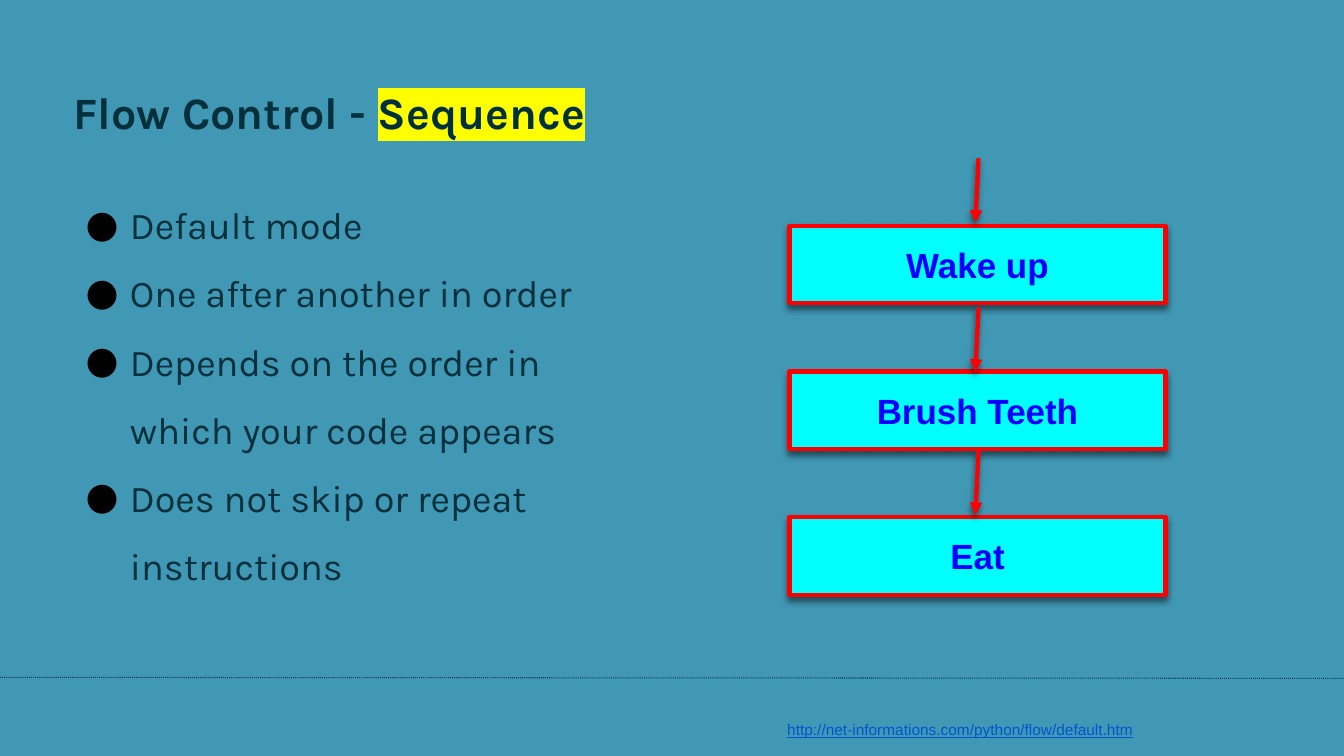
from lxml import etree
from pptx import Presentation
from pptx import util as u
from pptx.dml.color import RGBColor
from pptx.enum import dml, shapes, text
from pptx.oxml import parse_xml
from pptx.oxml.ns import nsdecls, qn

BACKGROUND = RGBColor(0x41, 0x98, 0xB5)
INK = RGBColor(0x00, 0x30, 0x3C)
RULE = RGBColor(0x00, 0x39, 0x5A)
CYAN = RGBColor(0x00, 0xFF, 0xFF)
RED = RGBColor(0xFF, 0x00, 0x00)
BLUE = RGBColor(0x00, 0x00, 0xFF)
LINK = RGBColor(0x00, 0x55, 0xD1)
YELLOW = RGBColor(0xFF, 0xFF, 0x00)
BLACK = RGBColor(0x00, 0x00, 0x00)

POINTS = (
    "Default mode",
    "One after another in order",
    "Depends on the order in which your code appears",
    "Does not skip or repeat instructions",
)
STEPS = (("Wake up", 1.57), ("Brush Teeth", 3.05), ("Eat", 4.47))


def style(font, name, size, color, bold=False):
    """Set the typeface, size, colour and weight of a font."""
    font.name, font.size, font.bold = name, u.Pt(size), bold
    font.color.rgb = color


def add_shadow(sp):
    """Give a shape or connector a soft shadow below it."""
    sp._element.spPr.append(parse_xml(
        f'<a:effectLst {nsdecls("a")}>'
        f'<a:outerShdw blurRad="{u.Pt(4.5)}" dist="{u.Pt(3)}" dir="{101 * 60000}" '
        f'algn="bl" rotWithShape="0"><a:srgbClr val="{BLACK}">'
        '<a:alpha val="50000"/></a:srgbClr></a:outerShdw></a:effectLst>'))


def add_line(s, x1, y1, x2, y2, color, width):
    """Draw a straight line between two points given in inches."""
    ends = [u.Inches(v) for v in (x1, y1, x2, y2)]
    line = s.shapes.add_connector(shapes.MSO_CONNECTOR.STRAIGHT, *ends)
    line.line.color.rgb = color
    line.line.width = u.Pt(width)
    return line


def add_text(s, x, y, w, h, inset=0.05):
    """Add a wrapping text box and return its text frame."""
    tf = s.shapes.add_textbox(*[u.Inches(v) for v in (x, y, w, h)]).text_frame
    tf.word_wrap = True
    tf.margin_top = tf.margin_bottom = u.Inches(inset)
    return tf


def add_title(s, x, y, w, h):
    """Place the title with its last word highlighted."""
    tf = add_text(s, x, y, w, h)
    tf.vertical_anchor = text.MSO_ANCHOR.MIDDLE
    p = tf.paragraphs[0]
    for words in ("Flow Control - ", "Sequence"):
        r = p.add_run()
        r.text = words
        style(r.font, "Karla", 32, INK, True)
    fill = r.font._element.find(qn("a:solidFill"))
    fill.addnext(parse_xml(
        f'<a:highlight {nsdecls("a")}><a:srgbClr val="{YELLOW}"/></a:highlight>'))


def add_points(s, x, y, w, h):
    """Place the bulleted list."""
    tf = add_text(s, x, y, w, h)
    tf.text = "\n".join(POINTS)
    for p in tf.paragraphs:
        pPr = p._p.get_or_add_pPr()
        pPr.set("marL", str(u.Inches(0.5)))
        pPr.set("indent", str(u.Inches(-0.44)))
        color = etree.SubElement(pPr, qn("a:buClr"))
        etree.SubElement(color, qn("a:srgbClr"), val=str(BLACK))
        etree.SubElement(pPr, qn("a:buFont"), typeface="Karla")
        etree.SubElement(pPr, qn("a:buChar"), char="●")
        p.line_spacing = 1.5
        style(p.runs[0].font, "Karla", 27, INK)


def add_step(s, label, x, y, w, h):
    """Draw one box of the flow."""
    sp = s.shapes.add_shape(
        shapes.MSO_SHAPE.RECTANGLE, *[u.Inches(v) for v in (x, y, w, h)])
    sp.fill.solid()
    sp.fill.fore_color.rgb = CYAN
    sp.line.color.rgb = RED
    sp.line.width = u.Pt(3)
    add_shadow(sp)
    tf = sp.text_frame
    tf.text = label
    tf.vertical_anchor = text.MSO_ANCHOR.MIDDLE
    p = tf.paragraphs[0]
    p.alignment = text.PP_ALIGN.CENTER
    style(p.runs[0].font, "Arial", 25, BLUE, True)


def add_flow(s, x, y, w, pitch):
    """Draw the boxes one below another, each with an arrow into it."""
    for i, (label, arrow_top) in enumerate(STEPS):
        add_step(s, label, x, y + i * pitch, w, 0.77)
    middle = x + w / 2
    for label, arrow_top in STEPS:
        arrow = add_line(s, middle + 0.01, arrow_top, middle - 0.02,
                         arrow_top + 0.64, RED, 3)
        etree.SubElement(arrow.line._get_or_add_ln(), qn("a:tailEnd"), type="triangle")
        add_shadow(arrow)


def add_footer(s, x, y, w, h):
    """Draw the dotted rule and the source address below it."""
    rule = add_line(s, 0, 6.72, 13.33, 6.73, RULE, 0.75)
    rule.line.dash_style = dml.MSO_LINE.ROUND_DOT
    etree.SubElement(rule._element.spPr, qn("a:effectLst"))
    tf = add_text(s, x, y, w, h, 0.1)
    tf.text = "http://net-informations.com/python/flow/default.htm"
    font = tf.paragraphs[0].runs[0].font
    style(font, "Arial", 11, LINK)
    font.underline = True


def main():
    """Build the slide and save it."""
    prs = Presentation()
    prs.slide_width, prs.slide_height = u.Inches(13.33), u.Inches(7.5)
    s = prs.slides.add_slide(prs.slide_layouts[6])
    s.background.fill.solid()
    s.background.fill.fore_color.rgb = BACKGROUND
    add_title(s, 0.63, 0.48, 9.94, 1.25)
    add_points(s, 0.69, 1.73, 5.77, 2.35)
    add_flow(s, 7.83, 2.24, 3.73, 1.445)
    add_footer(s, 7.71, 7.05, 4.23, 0.22)
    prs.save("out.pptx")


if __name__ == "__main__":
    main()
